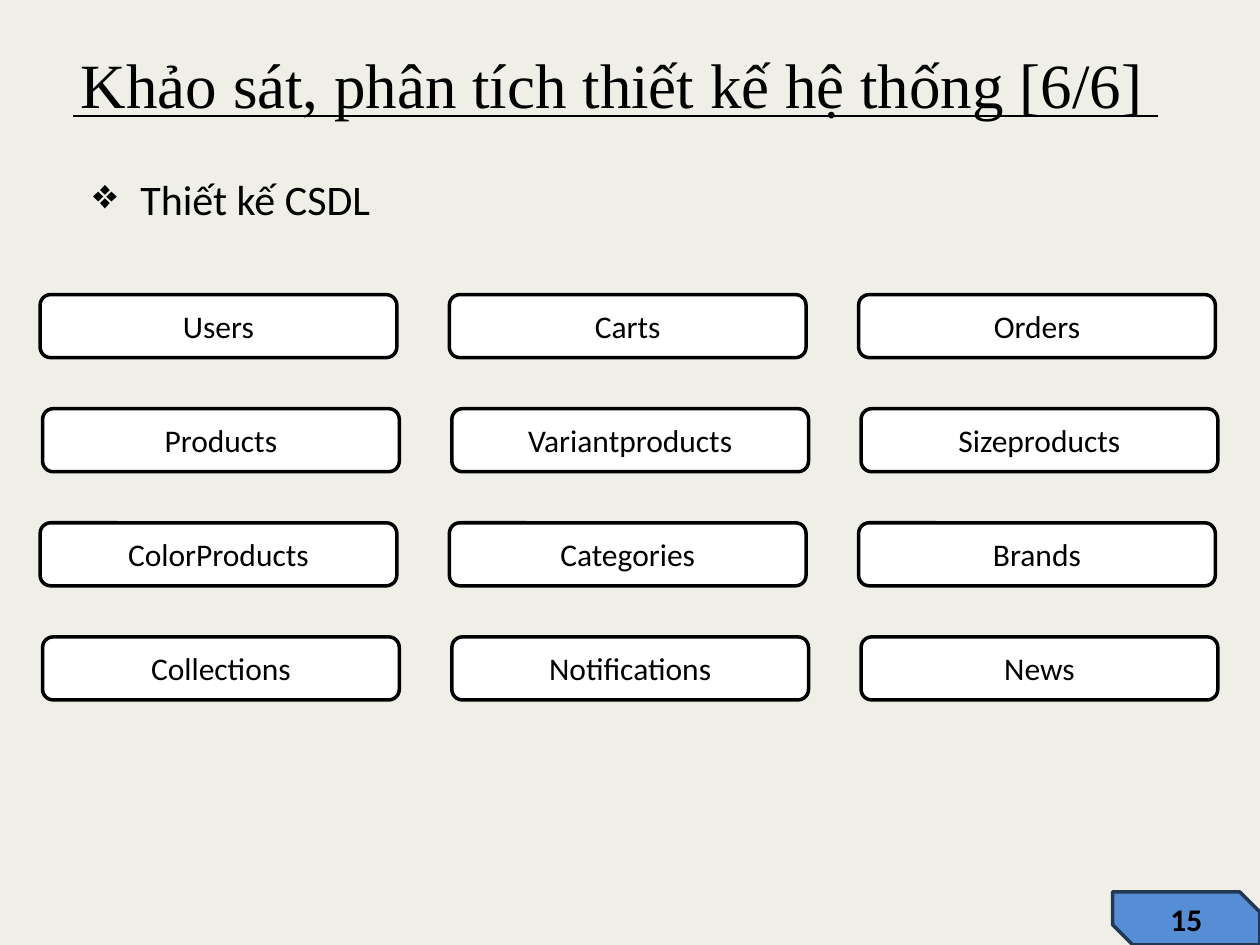
from pptx import Presentation
from pptx import util as u
from pptx.dml.color import RGBColor
from pptx.enum import shapes, text
from pptx.oxml.ns import qn
from lxml import etree


def tint(code):
    return RGBColor.from_string(code)


class Deck:
    font = "Calibri"
    head = "Times New Roman"
    ink = "000000"
    paper = "EFEEE7"

    def __init__(self, wide, high):
        self.prs = Presentation()
        self.prs.slide_width = u.Cm(wide)
        self.prs.slide_height = u.Cm(high)
        self.slide = self.prs.slides.add_slide(self.prs.slide_layouts[5])
        back = self.slide.background.fill
        back.solid()
        back.fore_color.rgb = tint(self.paper)

    def style(self, frame, words, size, font=None, bold=False,
              align=text.PP_ALIGN.LEFT):
        frame.text = words
        frame.word_wrap = True
        para = frame.paragraphs[0]
        para.alignment = align
        for run in para.runs:
            run.font.size = u.Pt(size)
            run.font.name = font or self.font
            run.font.bold = bold
            run.font.color.rgb = tint(self.ink)
        return para

    def title(self, words, *box):
        shape = self.slide.shapes.title
        shape.left, shape.top, shape.width, shape.height = map(u.Cm, box)
        frame = shape.text_frame
        frame.margin_left = frame.margin_right = 0
        frame.margin_top = frame.margin_bottom = 0
        frame.vertical_anchor = text.MSO_ANCHOR.TOP
        frame.auto_size = text.MSO_AUTO_SIZE.NONE
        para = self.style(frame, words, 36, self.head)
        para.line_spacing = 1.07
        para.space_before = u.Pt(0)
        para.space_after = u.Pt(2.7)

    def rule(self, left, top, right):
        line = self.slide.shapes.add_connector(
            shapes.MSO_CONNECTOR.STRAIGHT,
            u.Cm(left), u.Cm(top), u.Cm(right), u.Cm(top))
        line.line.color.rgb = tint(self.ink)
        line.line.width = u.Pt(1.5)
        etree.SubElement(line._element.spPr, qn("a:effectLst"))

    def bullet(self, words, *box):
        shape = self.slide.shapes.add_textbox(*map(u.Cm, box))
        para = self.style(shape.text_frame, words, 24)
        props = para._p.get_or_add_pPr()
        dent = u.Cm(0.95)
        props.set("marL", str(dent))
        props.set("indent", str(-dent))
        etree.SubElement(props, qn("a:buChar"), char="❖")

    def label(self, kind, words, *box, fill="FFFFFF", edge="000000",
              bold=False):
        shape = self.slide.shapes.add_shape(kind, *map(u.Cm, box))
        shape.shadow.inherit = False
        shape.fill.solid()
        shape.fill.fore_color.rgb = tint(fill)
        shape.line.color.rgb = tint(edge)
        shape.line.width = u.Pt(2)
        shape.text_frame.vertical_anchor = text.MSO_ANCHOR.MIDDLE
        self.style(shape.text_frame, words, 18, bold=bold,
                   align=text.PP_ALIGN.CENTER)
        return shape


def main():
    deck = Deck(25.4, 19.05)

    # Heading
    deck.title("Khảo sát, phân tích thiết kế hệ thống [6/6]",
               1.63, 0.81, 21.59, 1.52)
    deck.rule(1.47, 2.34, 23.34)

    # Page number
    badge = deck.label(shapes.MSO_SHAPE.SNIP_2_DIAG_RECTANGLE, "15",
                       22.43, 17.98, 2.97, 1.07,
                       fill="558ED5", edge="233953", bold=True)
    badge.adjustments[0] = 0
    badge.adjustments[1] = 0.38

    # Topic
    deck.bullet("Thiết kế CSDL", 1.63, 3.38, 22.17, 1.27)

    # Database tables; every second row sits slightly to the right
    names = [
        ["Users", "Carts", "Orders"],
        ["Products", "Variantproducts", "Sizeproducts"],
        ["ColorProducts", "Categories", "Brands"],
        ["Collections", "Notifications", "News"],
    ]
    for row, line in enumerate(names):
        for col, name in enumerate(line):
            deck.label(shapes.MSO_SHAPE.ROUNDED_RECTANGLE, name,
                       0.81 + 8.25 * col + 0.05 * (row % 2),
                       5.94 + 2.3 * row, 7.19, 1.27)

    deck.prs.save("out.pptx")


if __name__ == "__main__":
    main()
